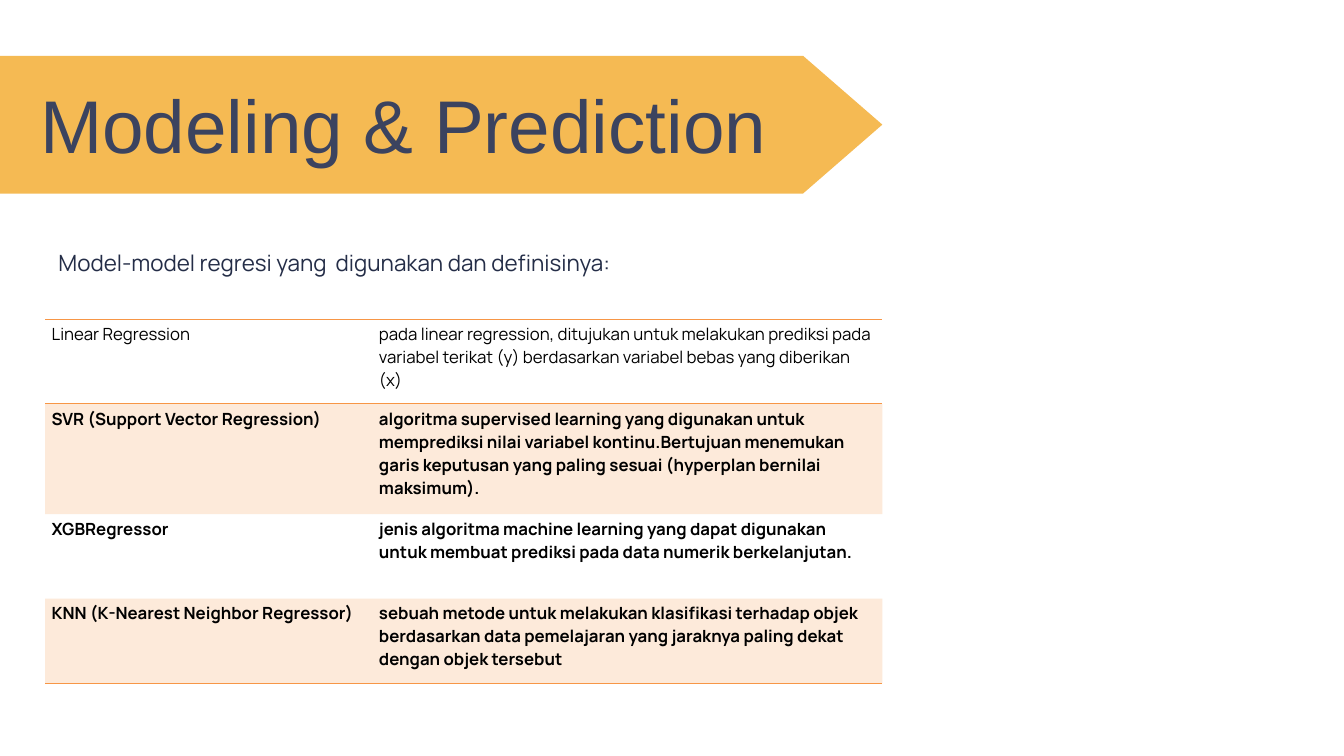
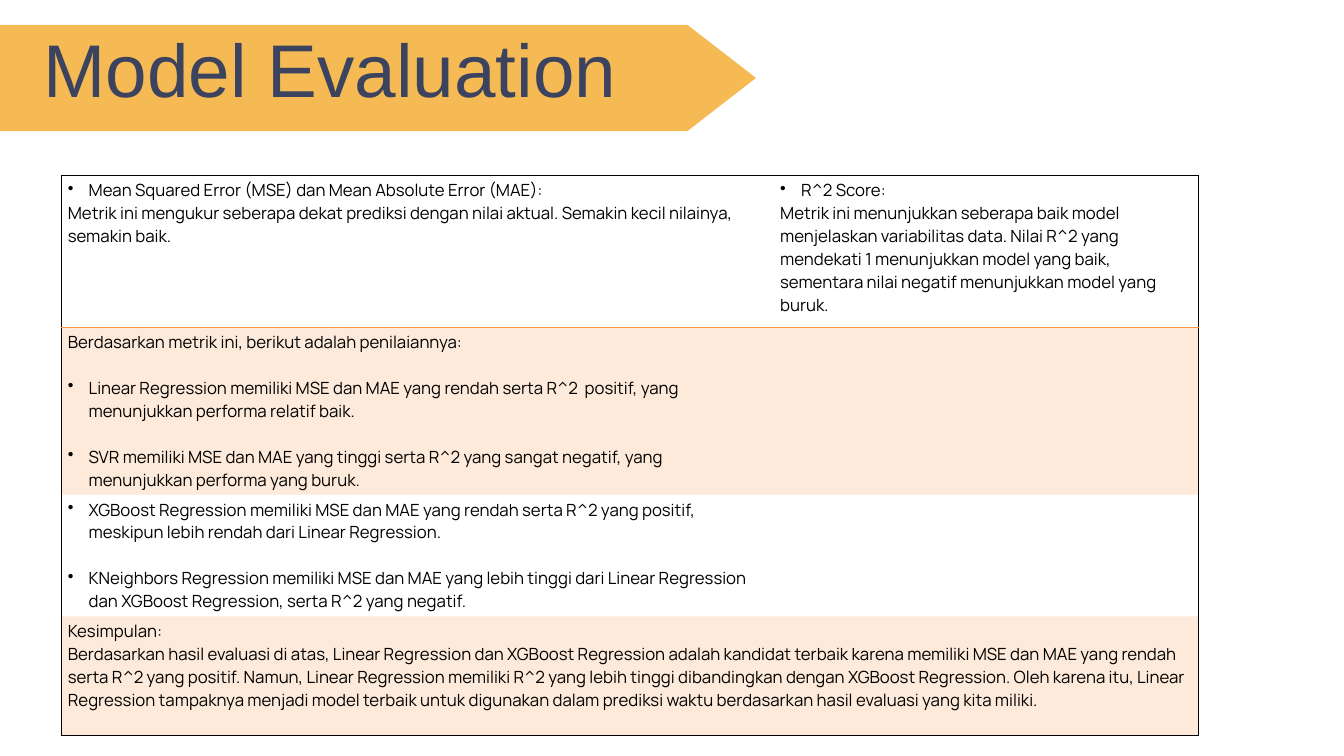
"""Build two slides on regression models and their evaluation."""
from lxml import etree
from pptx import Presentation
from pptx import util as u
from pptx.dml import color as c
from pptx.enum import text as t
from pptx.oxml import ns

ORANGE, BAND, NAVY, INK, BLACK = "F79646", "F5BA53", "3B435F", "242D47", "000000"
NO_GRID = "{2D5ABB26-0587-4C30-8999-92F81FD0307C}"
LINE_HEIGHT = 24.6


def rgb(value):
    """Turn a hex string into a colour."""
    return c.RGBColor.from_string(value)


def add_border(cell, side, value):
    """Draw a one-point border on a side (L, R, T or B), added in that order."""
    properties = cell._tc.get_or_add_tcPr()
    line = etree.Element(ns.qn(f"a:ln{side}"), w=str(u.Pt(1)))
    fill = etree.SubElement(line, ns.qn("a:solidFill"))
    etree.SubElement(fill, ns.qn("a:srgbClr"), val=value)
    properties.insert(len(properties.findall("*")) - 1, line)


slides = [
    {
        "title": "Modeling & Prediction",
        "title_box": (0.14, 1.25, 11.73, 1.31),
        "arrow": (0.83, 2.05, 1.18, 13.13),
        "caption": "Model-model regresi yang  digunakan dan definisinya:",
        "table_box": (0.67, 4.75, 12.46, 5.42),
        "columns": (4.87, 7.59),
        "heights": (1.26, 1.64, 1.26, 1.26),
        "edge": ORANGE,
        "side_edges": False,
        "bold_rows": (1, 2, 3),
        "rows": [
            (["Linear Regression"],
             ["pada linear regression, ditujukan untuk melakukan prediksi pada variabel terikat (y) "
              "berdasarkan variabel bebas yang diberikan (x)"]),
            (["SVR (Support Vector Regression)"],
             ["algoritma supervised learning yang digunakan untuk memprediksi nilai variabel "
              "kontinu.Bertujuan menemukan garis keputusan yang paling sesuai (hyperplan bernilai "
              "maksimum)."]),
            (["XGBRegressor"],
             ["jenis algoritma machine learning yang dapat digunakan untuk membuat prediksi pada "
              "data numerik berkelanjutan."]),
            (["KNN (K-Nearest Neighbor Regressor)"],
             ["sebuah metode untuk melakukan klasifikasi terhadap objek berdasarkan data pemelajaran "
              "yang jaraknya paling dekat dengan objek tersebut"]),
        ],
    },
    {
        "title": "Model Evaluation",
        "title_box": (0, 0.42, 9.83, 1.31),
        "arrow": (0.37, 1.58, 1.02, 11.25),
        "caption": None,
        "table_box": (0.91, 2.61, 16.92, 8.14),
        "columns": (10.6, 6.32),
        "heights": (2.26, 2.33, 1.77, 1.77),
        "edge": BLACK,
        "side_edges": True,
        "bold_rows": (),
        "rows": [
            (["• Mean Squared Error (MSE) dan Mean Absolute Error (MAE):",
              "Metrik ini mengukur seberapa dekat prediksi dengan nilai aktual. Semakin kecil "
              "nilainya, semakin baik."],
             ["• R^2 Score:",
              "Metrik ini menunjukkan seberapa baik model menjelaskan variabilitas data. Nilai R^2 "
              "yang mendekati 1 menunjukkan model yang baik, sementara nilai negatif menunjukkan "
              "model yang buruk."]),
            (["Berdasarkan metrik ini, berikut adalah penilaiannya:",
              "• Linear Regression memiliki MSE dan MAE yang rendah serta R^2  positif, yang "
              "menunjukkan performa relatif baik.",
              "• SVR memiliki MSE dan MAE yang tinggi serta R^2 yang sangat negatif, yang "
              "menunjukkan performa yang buruk."], []),
            (["• XGBoost Regression memiliki MSE dan MAE yang rendah serta R^2 yang positif, "
              "meskipun lebih rendah dari Linear Regression.",
              "• KNeighbors Regression memiliki MSE dan MAE yang lebih tinggi dari Linear Regression "
              "dan XGBoost Regression, serta R^2 yang negatif."], []),
            (["Kesimpulan:",
              "Berdasarkan hasil evaluasi di atas, Linear Regression dan XGBoost Regression adalah "
              "kandidat terbaik karena memiliki MSE dan MAE yang rendah serta R^2 yang positif. "
              "Namun, Linear Regression memiliki R^2 yang lebih tinggi dibandingkan dengan XGBoost "
              "Regression. Oleh karena itu, Linear Regression tampaknya menjadi model terbaik untuk "
              "digunakan dalam prediksi waktu berdasarkan hasil evaluasi yang kita miliki."],),
        ],
    },
]

presentation = Presentation()
presentation.slide_width, presentation.slide_height = u.Inches(20), u.Inches(11.25)

for content in slides:
    slide = presentation.slides.add_slide(presentation.slide_layouts[5])

    top, height, nose, right = content["arrow"]
    left, middle, bottom = -1.42, top + height / 2, top + height
    builder = slide.shapes.build_freeform(u.Inches(left), u.Inches(top))
    outline = [(right - nose, top), (right, middle), (right - nose, bottom),
               (left, bottom), (left + nose, middle)]
    builder.add_line_segments([(u.Inches(x), u.Inches(y)) for x, y in outline], close=True)
    arrow = builder.convert_to_shape()
    arrow.shadow.inherit = False
    arrow.fill.solid()
    arrow.fill.fore_color.rgb = rgb(BAND)
    arrow.line.fill.background()

    title = slide.shapes.title
    title._element.addprevious(arrow._element)
    title.left, title.top, title.width, title.height = map(u.Inches, content["title_box"])
    frames = [(title.text_frame, content["title"], "Arial", 80, NAVY, 0.97)]
    if content["caption"]:
        caption = slide.shapes.add_textbox(*map(u.Inches, (0.67, 3.51, 9.94, 0.61)))
        frames.append((caption.text_frame, content["caption"], "Manrope", 24, INK, 1.5))
    for frame, words, font_name, size, ink, spacing in frames:
        frame.word_wrap = True
        frame.auto_size = t.MSO_AUTO_SIZE.NONE
        frame.vertical_anchor = t.MSO_ANCHOR.TOP
        frame.margin_left = frame.margin_right = frame.margin_top = frame.margin_bottom = 0
        frame.text = words
        paragraph = frame.paragraphs[0]
        paragraph.line_spacing = spacing
        paragraph.font.name, paragraph.font.size = font_name, u.Pt(size)
        paragraph.font.color.rgb = rgb(ink)
    title.text_frame.paragraphs[0].alignment = t.PP_ALIGN.CENTER
    if content["caption"]:
        indent = caption.text_frame.paragraphs[0]._p.get_or_add_pPr()
        indent.set("marL", str(u.Inches(0.5)))
        indent.set("indent", str(u.Inches(-0.3)))

    rows = content["rows"]
    table = slide.shapes.add_table(len(rows), 2, *map(u.Inches, content["table_box"])).table
    table.first_row = table.horz_banding = False
    table._tbl.tblPr.find(ns.qn("a:tableStyleId")).text = NO_GRID
    for column, width in zip(table.columns, content["columns"]):
        column.width = u.Inches(width)
    for row, height in zip(table.rows, content["heights"]):
        row.height = u.Inches(height)

    for row_index, row in enumerate(rows):
        if len(row) == 1:
            table.cell(row_index, 0).merge(table.cell(row_index, 1))
        for column_index, lines in enumerate(row):
            cell = table.cell(row_index, column_index)
            if row_index % 2:
                cell.fill.solid()
                cell.fill.fore_color.rgb = rgb(ORANGE)
                shade = cell._tc.tcPr.find(".//" + ns.qn("a:srgbClr"))
                etree.SubElement(shade, ns.qn("a:alpha"), val="20000")
            else:
                cell.fill.background()

            if content["side_edges"] and column_index == 0:
                add_border(cell, "L", content["edge"])
            if content["side_edges"] and column_index == len(row) - 1:
                add_border(cell, "R", content["edge"])
            if row_index == 0:
                add_border(cell, "T", content["edge"])
                add_border(cell, "B", ORANGE)
            if row_index == len(rows) - 1:
                add_border(cell, "B", content["edge"])

            cell.text = "\n".join(line.removeprefix("• ") for line in lines)
            for line_index, (paragraph, line) in enumerate(zip(cell.text_frame.paragraphs, lines)):
                paragraph.font.name, paragraph.font.size = "Manrope", u.Pt(18)
                paragraph.font.bold = row_index in content["bold_rows"]
                paragraph.font.color.rgb = rgb(BLACK)
                if line.startswith("•"):
                    if line_index:
                        paragraph.space_before = u.Pt(LINE_HEIGHT)
                    bullet = paragraph._p.get_or_add_pPr()
                    bullet.set("marL", str(u.Inches(0.31)))
                    bullet.set("indent", str(u.Inches(-0.31)))
                    mark = etree.Element(ns.qn("a:buChar"), char="•")
                    bullet.find(ns.qn("a:defRPr")).addprevious(mark)

presentation.save("out.pptx")
